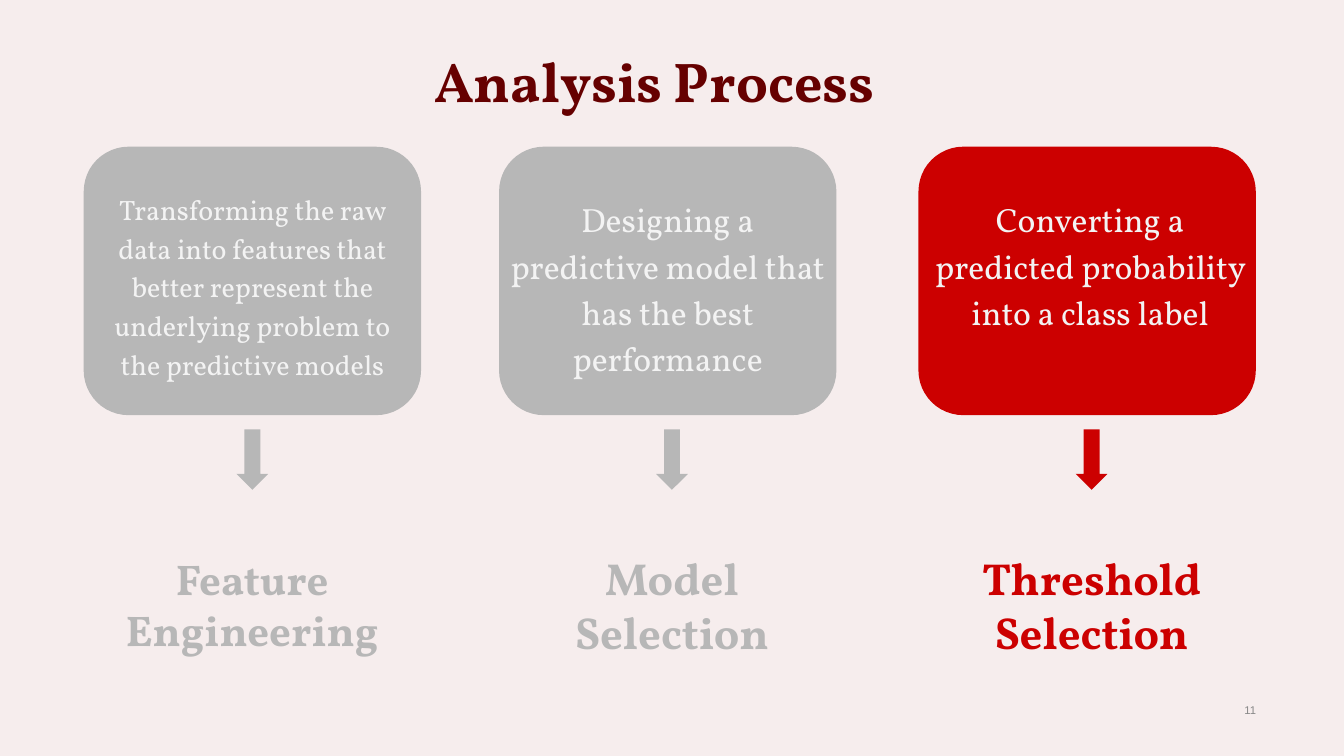
from pptx import Presentation
from pptx.dml.color import RGBColor
from pptx.enum import shapes, text
from pptx.util import Pt

BACKGROUND = RGBColor(0xF6, 0xED, 0xED)
MAROON = RGBColor(0x66, 0x00, 0x00)
GREY = RGBColor(0xB7, 0xB7, 0xB7)
RED = RGBColor(0xCC, 0x00, 0x00)
PALE = RGBColor(0xF3, 0xF3, 0xF3)
NUMBER_GREY = RGBColor(0x88, 0x88, 0x88)
FONT = "Vollkorn"
LEFT, CENTER, RIGHT = text.PP_ALIGN.LEFT, text.PP_ALIGN.CENTER, text.PP_ALIGN.RIGHT

# Content: one dict per step; card and body centres are in points
TITLE = "Analysis Process"
PAGE = "11"
STEPS = [
    dict(body="Transforming the raw data into features that better represent "
              "the underlying problem to the predictive models",
         body_size=15, body_top=93.4, body_width=181, card_x=135.2, body_x=135.3,
         caption=["Feature Engineering"], caption_size=23, caption_width=154,
         caption_top=288.8, color=GREY),
    dict(body="Designing a predictive model that has the best performance",
         body_size=18, body_top=96.3, body_width=185, card_x=357.7, body_x=357.7,
         caption=["Model", "Selection"], caption_size=24, caption_width=131,
         caption_top=288, color=GREY),
    dict(body="Converting a predicted probability into a class label",
         body_size=18, body_top=96.3, body_width=189, card_x=582.4, body_x=584,
         caption=["Threshold", "Selection"], caption_size=24, caption_width=143,
         caption_top=288, color=RED),
]
FIRST_X, STEP_X = 135.2, 224.8
CARD_TOP, CARD_W, CARD_H = 78.6, 180.7, 143.8
ARROW_TOP, ARROW_W, ARROW_H = 230, 17, 32.4

prs = Presentation()
prs.slide_width, prs.slide_height = Pt(720), Pt(405)
s = prs.slides.add_slide(prs.slide_layouts[5])
s.background.fill.solid()
s.background.fill.fore_color.rgb = BACKGROUND


def write(sp, lines, size, color, bold=False, align=CENTER, spacing=1.0,
          font=FONT, anchor=text.MSO_ANCHOR.TOP):
    tf = sp.text_frame
    tf.word_wrap = True
    tf.auto_size = text.MSO_AUTO_SIZE.NONE
    tf.vertical_anchor = anchor
    tf.margin_left = tf.margin_right = tf.margin_top = tf.margin_bottom = Pt(7.2)
    tf.text = "\n".join(lines)
    for p in tf.paragraphs:
        p.alignment, p.line_spacing = align, spacing
        p.font.name, p.font.size, p.font.bold = font, Pt(size), bold
        p.font.color.rgb = color


def add_text(left, top, width, height, *args, **kwargs):
    sp = s.shapes.add_textbox(Pt(left), Pt(top), Pt(width), Pt(height))
    write(sp, *args, **kwargs)


def add_shape(kind, center, top, width, height, color):
    sp = s.shapes.add_shape(kind, Pt(center - width / 2), Pt(top), Pt(width), Pt(height))
    sp.shadow.inherit = False
    sp.fill.solid()
    sp.fill.fore_color.rgb = color
    sp.line.fill.background()


# Title
title = s.shapes.title
title.left, title.top, title.width, title.height = Pt(225.5), Pt(17.8), Pt(292.3), Pt(51)
write(title, [TITLE], 30, MAROON, bold=True, align=LEFT)

# Steps: card, body text, arrow, caption
for i, step in enumerate(STEPS):
    x, color = FIRST_X + i * STEP_X, step["color"]
    add_shape(shapes.MSO_SHAPE.ROUNDED_RECTANGLE, step["card_x"],
              CARD_TOP, CARD_W, CARD_H, color)
    width = step["body_width"]
    add_text(step["body_x"] - width / 2, step["body_top"], width, 114,
             [step["body"]], step["body_size"], PALE, spacing=1.15)
    add_shape(shapes.MSO_SHAPE.DOWN_ARROW, x, ARROW_TOP, ARROW_W, ARROW_H, color)
    width = step["caption_width"]
    add_text(x - width / 2, step["caption_top"], width, 72, step["caption"],
             step["caption_size"], color, bold=True)

# Page number
add_text(566, 370.4, 114, 20, [PAGE], 6, NUMBER_GREY, align=RIGHT, font="Arial",
         anchor=text.MSO_ANCHOR.MIDDLE)

prs.save("out.pptx")
